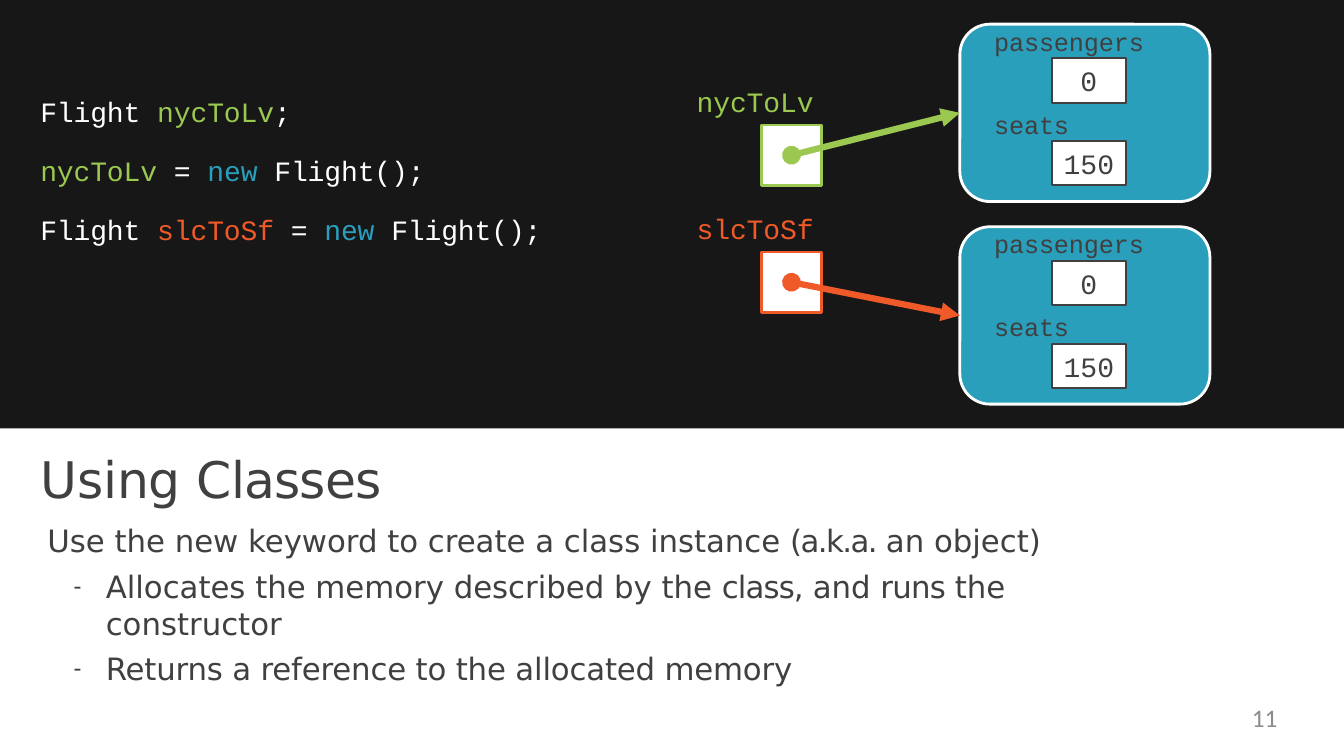
from lxml import etree
from pptx import Presentation
from pptx.dml.color import RGBColor
from pptx.enum.shapes import MSO_CONNECTOR, MSO_SHAPE
from pptx.enum.text import MSO_ANCHOR, MSO_AUTO_SIZE, PP_ALIGN
from pptx.oxml.ns import qn
from pptx.util import Inches, Pt

RECT, ROUNDED = MSO_SHAPE.RECTANGLE, MSO_SHAPE.ROUNDED_RECTANGLE
STRAIGHT = MSO_CONNECTOR.STRAIGHT
TOP, MIDDLE = MSO_ANCHOR.TOP, MSO_ANCHOR.MIDDLE
LEFT, CENTER, RIGHT = PP_ALIGN.LEFT, PP_ALIGN.CENTER, PP_ALIGN.RIGHT
NO_FIT = MSO_AUTO_SIZE.NONE

WIDTH, HEIGHT = 13.33, 7.5
MARGIN = 0.03 * WIDTH
CODE_FONT, TEXT_FONT = "Courier New", "DejaVu Sans"
WHITE, DARK, PANEL, GRAY = "FFFFFF", "404040", "171717", "8C8C8C"
GREEN, ORANGE, BLUE = "9BC850", "F05A28", "2A9FBC"


def color(hex_value):
    return RGBColor.from_string(hex_value)


def inches(box):
    return [Inches(length) for length in box]


def set_indent(paragraph, margin, hanging=0, bullet=None):
    properties = paragraph._p.get_or_add_pPr()
    properties.set("marL", str(Inches(margin)))
    properties.set("indent", str(-Inches(hanging)))
    if bullet:
        etree.SubElement(properties, qn("a:buSzPct")).set("val", "77000")
        etree.SubElement(properties, qn("a:buChar")).set("char", bullet)
    else:
        etree.SubElement(properties, qn("a:buNone"))


def write(frame, paragraphs, size, font=CODE_FONT, ink=DARK, align=LEFT,
          anchor=TOP, inset=0, gap=0, tracking=0, wrap=True):
    """Each paragraph is a list of (text, overrides) runs."""
    frame.word_wrap, frame.auto_size = wrap, NO_FIT
    frame.vertical_anchor = anchor
    frame.margin_left = frame.margin_right = frame.margin_bottom = 0
    frame.margin_top = Inches(inset)
    for index, runs in enumerate(paragraphs):
        paragraph = frame.paragraphs[0] if index == 0 else frame.add_paragraph()
        paragraph.alignment = align
        paragraph.space_before = Pt(gap if index else 0)
        for words, overrides in runs:
            run = paragraph.add_run()
            run.text = words
            run.font.size, run.font.name = Pt(size), font
            run.font.color.rgb = color(overrides.get("ink", ink))
            spacing = overrides.get("tracking", tracking)
            run._r.get_or_add_rPr().set("spc", str(round(spacing * 100)))
    return frame


def add_text(slide, box, paragraphs, size, **format):
    frame = slide.shapes.add_textbox(*inches(box)).text_frame
    return write(frame, paragraphs, size, **format)


def add_block(slide, kind, box, fill, line=None, weight=0):
    block = slide.shapes.add_shape(kind, *inches(box))
    block.shadow.inherit = False
    block.fill.solid()
    block.fill.fore_color.rgb = color(fill)
    if line:
        block.line.color.rgb = color(line)
        block.line.width = Pt(weight)
    else:
        block.line.fill.background()
    return block


def add_reference_arrow(slide, start, end, ink):
    arrow = slide.shapes.add_connector(STRAIGHT, *inches(start + end))
    arrow.line.color.rgb = color(ink)
    arrow.line.width = Pt(4.5)
    line = arrow.line._get_or_add_ln()
    for tag, kind in (("a:headEnd", "oval"), ("a:tailEnd", "triangle")):
        etree.SubElement(line, qn(tag)).set("type", kind)
    etree.SubElement(arrow._element.spPr, qn("a:effectLst"))


def add_code(slide, box):
    def new_flight(variable, ink, declaration=""):
        return [(declaration, {}), (variable, {"ink": ink}), (" = ", {}),
                ("new ", {"ink": BLUE}), ("Flight();", {})]

    lines = [
        [("Flight ", {}), ("nycToLv", {"ink": GREEN}), (";", {})],
        new_flight("nycToLv", GREEN)[1:],
        new_flight("slcToSf", ORANGE, "Flight "),
    ]
    add_text(slide, box, lines, 20, ink=WHITE, inset=0.02, gap=18, tracking=-0.1)


def add_flight_object(slide, box):
    left, top, width, height = box
    card = add_block(slide, ROUNDED, box, BLUE, WHITE, 2)
    card.adjustments[0] = 0.17
    field_height = 0.82
    for row, (field, value) in enumerate((("passengers", "0"), ("seats", "150"))):
        field_top = top + row * field_height
        add_text(slide, (left + 0.34, field_top, 1.6, 0.33), [[(field, {})]], 18,
                 inset=0.02, tracking=-0.1)
        cell = add_block(slide, RECT, (left + 0.91, field_top + 0.34, 0.74, 0.44),
                         WHITE, DARK, 1.5)
        write(cell.text_frame, [[(value, {})]], 20, align=CENTER, anchor=MIDDLE)


def add_variable(slide, box, variable, ink, target):
    left, top, width, height = box
    side = 0.6
    cell_left, cell_top = left + 0.64, top + 0.42
    add_block(slide, RECT, (cell_left, cell_top, side, side), WHITE, ink, 2)
    center = (cell_left + side / 2, cell_top + side / 2)
    add_reference_arrow(slide, center, target, ink)
    add_text(slide, box, [[(variable, {})]], 20, ink=ink, inset=0.02, tracking=-0.1)


def add_memory_diagram(slide, left, top):
    card_width, card_height, card_step = 2.48, 1.76, 2.01
    variable_step = 1.26
    card_left = left + 2.61
    for row, (variable, ink) in enumerate((("nycToLv", GREEN), ("slcToSf", ORANGE))):
        card_top = top + row * card_step
        add_flight_object(slide, (card_left, card_top, card_width, card_height))
        add_variable(slide, (left, top + 0.58 + row * variable_step, 1.2, 0.36),
                     variable, ink, (card_left, card_top + card_height / 2))


def place(placeholder, box):
    placeholder.left, placeholder.top, placeholder.width, placeholder.height = inches(box)
    return placeholder.text_frame


def add_explanation(slide, box):
    left, top, width, height = box
    title_height = 0.73
    title = place(slide.shapes.title, (left, top, width, title_height))
    write(title, [[("Using ", {}), ("Classes", {"tracking": -0.6})]], 36,
          font=TEXT_FONT, tracking=-0.1)

    body = place(slide.placeholders[1],
                 (left, top + title_height, width, height - title_height))
    points = [
        [("Use the new keyword to create a class instance ", {}),
         ("(a.k.a. ", {"tracking": -1.1}), ("an object)", {})],
        [("Allocates the memory described by the ", {}),
         ("class, ", {"tracking": -0.6}), ("and ", {}),
         ("runs ", {"tracking": -0.5}), ("the constructor", {})],
        [("Returns a reference to the allocated memory", {"tracking": -0.1})],
    ]
    write(body, points, 22, font=TEXT_FONT, gap=6)
    statement, *details = body.paragraphs
    set_indent(statement, 0.07)
    for detail in details:
        set_indent(detail, 0.65, 0.32, "-")


def main():
    deck = Presentation()
    deck.slide_width, deck.slide_height = Inches(WIDTH), Inches(HEIGHT)
    slide = deck.slides.add_slide(deck.slide_layouts[1])

    # Dark panel: code beside the objects it creates
    add_block(slide, RECT, (0, 0, WIDTH, 4.25), PANEL)
    add_code(slide, (MARGIN, 0.92, 5.8, 1.6))
    add_memory_diagram(slide, 6.91, 0.24)

    # Explanation and page number
    add_explanation(slide, (MARGIN, 4.45, 11.38, 2.4))
    add_text(slide, (9.6, 6.97, 3.07, 0.38), [[("11", {})]], 18,
             font="Calibri", ink=GRAY, align=RIGHT)

    deck.save("out.pptx")


if __name__ == "__main__":
    main()
